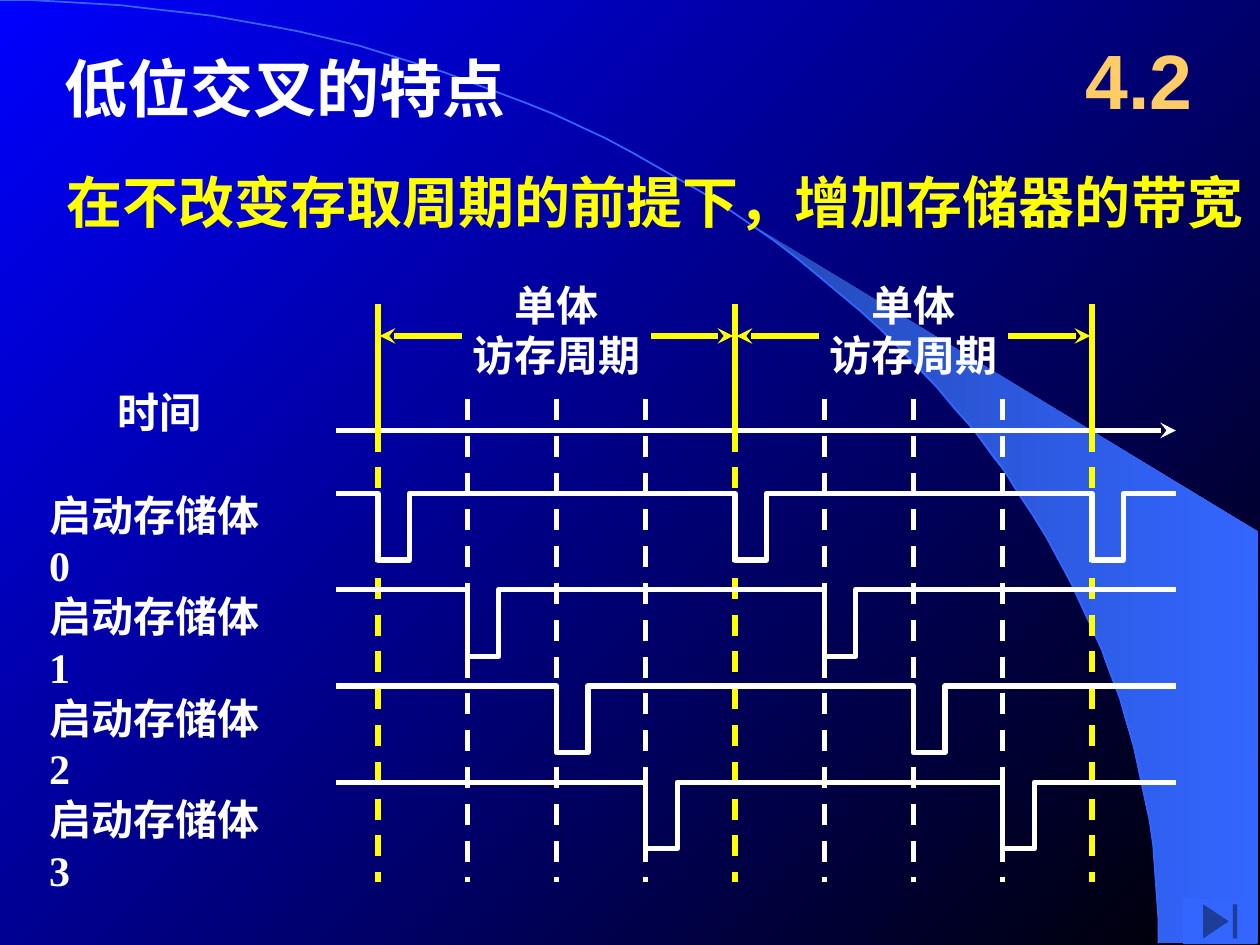
from math import asin, cos, pi, sin

from lxml import etree
from pptx import Presentation
from pptx.dml.color import RGBColor
from pptx.enum.dml import MSO_LINE
from pptx.enum.shapes import MSO_CONNECTOR, MSO_SHAPE
from pptx.enum.text import MSO_ANCHOR, PP_ALIGN
from pptx.oxml.ns import qn
from pptx.util import Pt

STRAIGHT = MSO_CONNECTOR.STRAIGHT
END_BUTTON = MSO_SHAPE.ACTION_BUTTON_END
DASH = MSO_LINE.DASH
LEFT, CENTER = PP_ALIGN.LEFT, PP_ALIGN.CENTER
TOP, MIDDLE = MSO_ANCHOR.TOP, MSO_ANCHOR.MIDDLE

WHITE = RGBColor(0xFF, 0xFF, 0xFF)
YELLOW = RGBColor(0xFF, 0xFF, 0x00)
ORANGE = RGBColor(0xFF, 0xCC, 0x66)
BLUE = RGBColor(0x00, 0x00, 0xFF)
BLACK = RGBColor(0x00, 0x00, 0x00)
SKY = RGBColor(0x33, 0x66, 0xFF)
DEEP_SKY = RGBColor(0x24, 0x49, 0xB6)

BANKS = 4
STEP = 51
PERIOD = BANKS * STEP


def set_gradient(fill, colors, angle):
    fill.gradient()
    fill.gradient_angle = angle
    for stop, color in zip(fill.gradient_stops, colors):
        stop.color.rgb = color


def add_text(slide, box, lines, size=24, color=WHITE, font="Times New Roman",
             align=LEFT, anchor=TOP, wrap=False):
    frame = slide.shapes.add_textbox(*map(Pt, box)).text_frame
    frame.word_wrap = wrap
    frame.vertical_anchor = anchor
    style = {"name": font, "size": Pt(size), "bold": True}
    for index, line in enumerate(lines):
        paragraph = frame.add_paragraph() if index else frame.paragraphs[0]
        paragraph.alignment = align
        run = paragraph.add_run()
        run.text = line
        for key, value in style.items():
            setattr(run.font, key, value)
        run.font.color.rgb = color


def add_line(slide, start, end, color, dash=None, arrow=False):
    connector = slide.shapes.add_connector(STRAIGHT, *map(Pt, start + end))
    line = connector.line
    line.color.rgb = color
    line.width = Pt(3)
    if dash:
        line.dash_style = dash
    if arrow:
        etree.SubElement(line._get_or_add_ln(), qn("a:tailEnd"), type="stealth")
    etree.SubElement(connector._element.spPr, qn("a:effectLst"))


def add_outline(slide, points, close=False):
    builder = slide.shapes.build_freeform(*points[0], scale=Pt(1))
    builder.add_line_segments(points[1:], close=close)
    outline = builder.convert_to_shape()
    outline.shadow.inherit = False
    return outline


def add_stroke(slide, points, color, width):
    stroke = add_outline(slide, points)
    stroke.fill.background()
    stroke.line.color.rgb = color
    stroke.line.width = Pt(width)


def draw_backdrop(slide, box):
    """Gradient, crescent and the quarter-ellipse arc it grows from."""
    left, top, width, height = box
    radius_x, radius_y = 0.92 * width, height

    def arc(start, count=60):
        angles = [start + (pi / 2 - start) * i / count for i in range(count + 1)]
        return [(left + radius_x * sin(a), top + radius_y * (1 - cos(a)))
                for a in angles]

    set_gradient(slide.background.fill, (BLUE, BLACK), 315)
    right, bottom = left + width - 1, top + height
    crescent = add_outline(
        slide, arc(asin(0.64)) + [(right, bottom), (right, top + 304.5)], close=True)
    set_gradient(crescent.fill, (DEEP_SKY, SKY), 0)
    crescent.line.fill.background()
    add_stroke(slide, arc(0), SKY, 1)


def draw_headings(slide, box):
    left, top, width, height = box
    add_text(slide, (left, top, 267, 50), ["低位交叉的特点"], 36)
    add_text(slide, (left + 1, top + 67, width, 45),
             ["在不改变存取周期的前提下，增加存储器的带宽"], 32, YELLOW)
    add_text(slide, (606, 12, 90, 66), ["4.2"], 44, ORANGE, "Arial",
             CENTER, MIDDLE, True)


def draw_period(slide, left, top):
    """One access cycle: its two-line name between outward arrows."""
    middle, right = left + PERIOD / 2, left + PERIOD
    arrow_y = top + 18
    add_text(slide, (middle - 55, top - 18, 110.5, 65), ["单体", "访存周期"],
             align=CENTER)
    add_line(slide, (left + 48, arrow_y), (left + 1, arrow_y), YELLOW, arrow=True)
    add_line(slide, (right - 48, arrow_y), (right - 1, arrow_y), YELLOW, arrow=True)


def draw_wave(slide, left, right, y, first_pulse):
    """A high level with a low pulse once in every access cycle."""
    points = [(left, y)]
    for x in range(first_pulse, right, PERIOD):
        points += [(x, y), (x, y + 38), (x + 18, y + 38), (x + 18, y)]
    add_stroke(slide, points + [(right, y)], WHITE, 3)


def draw_timing(slide, box):
    left, top, width, height = box
    right, bottom = left + width, top + height
    first_tick, axis_y = left + 24, top + 72
    boundaries = [first_tick + PERIOD * i for i in range(3)]

    for boundary in boundaries[:-1]:
        for bank in range(1, BANKS):
            x = boundary + STEP * bank
            add_line(slide, (x, axis_y - 18), (x, bottom), WHITE, DASH)
    for x in boundaries:
        add_line(slide, (x, axis_y), (x, bottom), YELLOW, DASH)

    add_text(slide, (60, axis_y - 28.5, 62.5, 36), ["时间"])
    add_line(slide, (left, axis_y), (right, axis_y), WHITE, arrow=True)
    for bank in range(BANKS):
        draw_wave(slide, left, right, axis_y + 35.5 + 55.3 * bank,
                  first_tick + STEP * bank)
        add_text(slide, (21, axis_y + 30 + 58 * bank, 140, 65),
                 [f"启动存储体 {bank}"], wrap=True)

    for boundary in boundaries[:-1]:
        draw_period(slide, boundary, top)
    for x in boundaries:
        add_line(slide, (x, top), (x, axis_y + 6), YELLOW)


def draw_end_button(slide, box):
    button = slide.shapes.add_shape(END_BUTTON, *map(Pt, box))
    button.shadow.inherit = False
    button.fill.solid()
    button.fill.fore_color.rgb = SKY
    button.line.fill.background()


def main():
    deck = Presentation()
    deck.slide_width, deck.slide_height = Pt(720), Pt(540)
    slide = deck.slides.add_slide(deck.slide_layouts[6])
    draw_backdrop(slide, (0, 0, 720, 539))
    draw_headings(slide, (30, 25, 689, 112))
    draw_timing(slide, (192, 174, 480, 330))
    draw_end_button(slide, (676, 513.5, 42.5, 26))
    deck.save("out.pptx")


if __name__ == "__main__":
    main()
